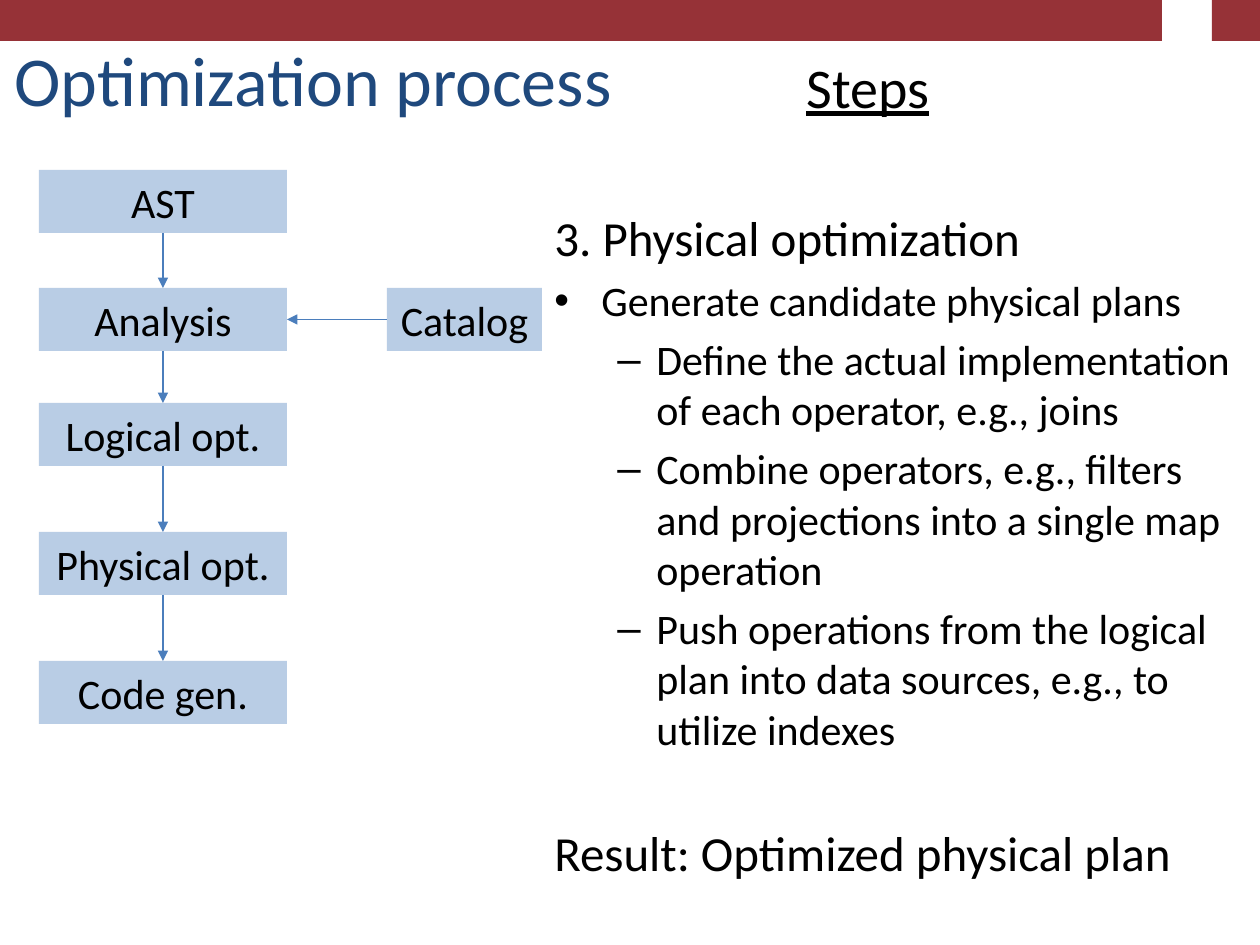
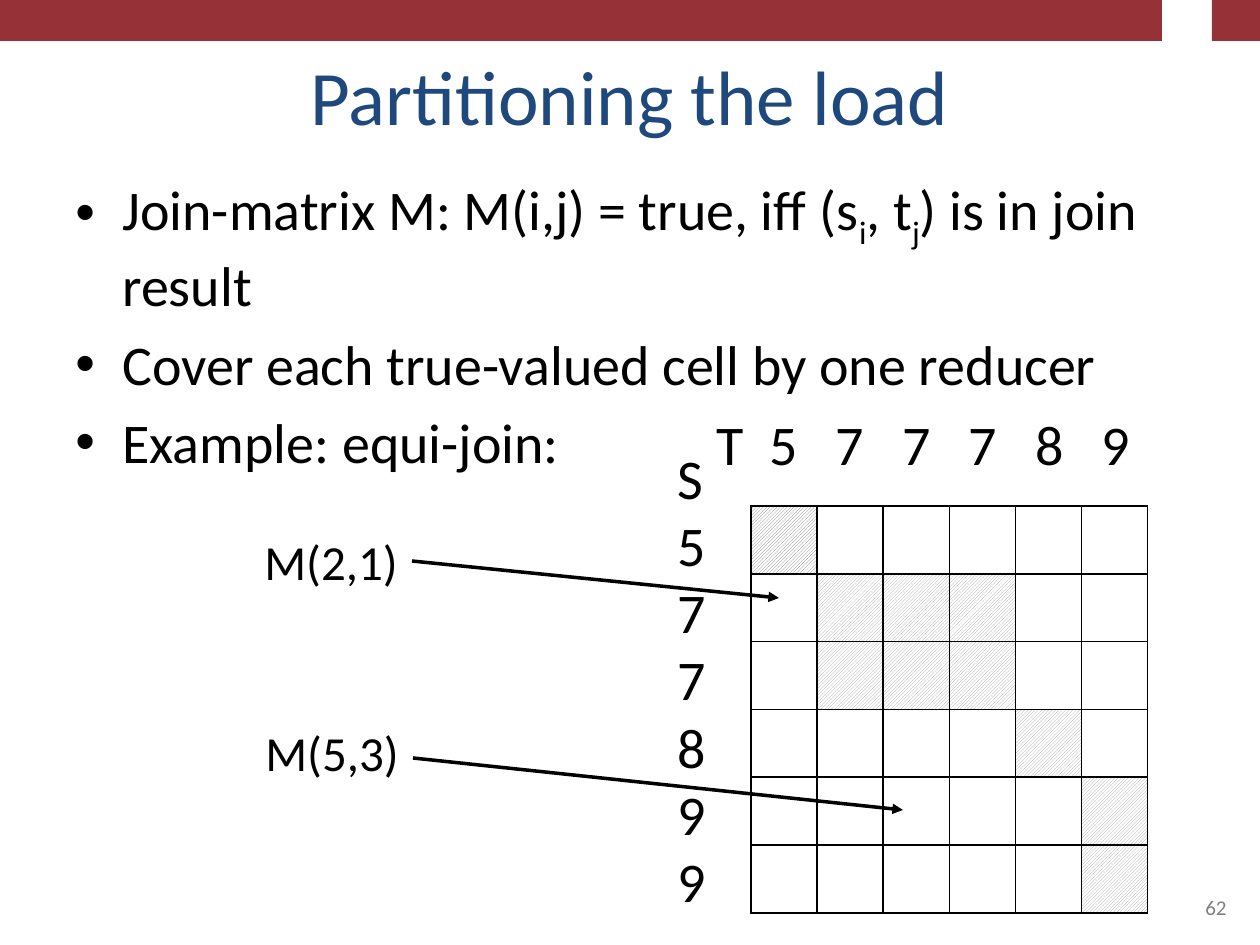
from lxml import etree
from pptx import Presentation
from pptx.dml.color import RGBColor
from pptx.enum.dml import MSO_PATTERN
from pptx.enum.shapes import MSO_CONNECTOR, MSO_SHAPE
from pptx.enum.text import MSO_ANCHOR, MSO_AUTO_SIZE, PP_ALIGN
from pptx.oxml.ns import qn
from pptx.util import Pt

PX_PER_INCH = 126
EMU_PER_INCH = 914400
WIDTH, HEIGHT = 1260, 945
FONT = "Calibri"
BULLET_FONT = "Arial"

BLACK = RGBColor(0x00, 0x00, 0x00)
WHITE = RGBColor(0xFF, 0xFF, 0xFF)
BAND_RED = RGBColor(0x96, 0x32, 0x37)
TITLE_BLUE = RGBColor(0x1F, 0x49, 0x7D)
BOX_BLUE = RGBColor(0xB9, 0xCD, 0xE5)
ARROW_BLUE = RGBColor(0x4B, 0x7E, 0xBC)
NUMBER_GREY = RGBColor(0x80, 0x80, 0x80)
HATCH_GREY = RGBColor(0xA6, 0xA6, 0xA6)

LEFT, CENTER, RIGHT = PP_ALIGN.LEFT, PP_ALIGN.CENTER, PP_ALIGN.RIGHT
TOP, MIDDLE, BOTTOM = MSO_ANCHOR.TOP, MSO_ANCHOR.MIDDLE, MSO_ANCHOR.BOTTOM
NO_AUTOFIT = MSO_AUTO_SIZE.NONE
RECTANGLE = MSO_SHAPE.RECTANGLE
STRAIGHT = MSO_CONNECTOR.STRAIGHT
HATCH = MSO_PATTERN.DARK_UPWARD_DIAGONAL
SITE_TOP, SITE_LEFT, SITE_BOTTOM, SITE_RIGHT = range(4)

BAND_PARTS = [(0, 677), (454, 1140), (1115, 1162), (1212, WIDTH)]
STEPS = ["AST", "Analysis", "Logical opt.", "Physical opt.", "Code gen."]
STEP_TOPS = [170, 288, 403, 532, 661]
PLAN_DETAILS = [
    "Define the actual implementation of each operator, e.g., joins",
    "Combine operators, e.g., filters and projections into a single map operation",
    "Push operations from the logical plan into data sources, e.g., to utilize indexes",
]
JOIN_POINTS = [
    ("Join-matrix M: M(i,j) = true, iff (s", "i", ", t", "j", ") is in join result"),
    "Cover each true-valued cell by one reducer",
    "Example: equi-join:",
]
S_VALUES = [5, 7, 7, 8, 9, 9]
T_VALUES = [5, 7, 7, 7, 8, 9]
JOIN_CELLS = {(0, 0), (1, 1), (1, 2), (1, 3), (2, 1), (2, 2), (2, 3),
              (3, 4), (4, 5), (5, 5)}


def px(value):
    return round(value * EMU_PER_INCH / PX_PER_INCH)


def write(tf, text, size=24, color=BLACK, align=LEFT, before=0, left=0, hang=0,
          level=0, bullet=None, underline=False, odd=("baseline", -25000)):
    p = tf.paragraphs[0]
    if p.runs:
        p = tf.add_paragraph()
    p.level = level
    pPr = p._p.get_or_add_pPr()
    pPr.set("marL", str(px(left)))
    pPr.set("indent", str(-px(hang)))
    if bullet:
        etree.SubElement(pPr, qn("a:buFont"), typeface=BULLET_FONT)
        etree.SubElement(pPr, qn("a:buChar"), char=bullet)
    else:
        etree.SubElement(pPr, qn("a:buNone"))
    p.alignment = align
    p.space_before = Pt(before)
    parts = (text,) if isinstance(text, str) else text
    for i, part in enumerate(parts):
        r = p.add_run()
        r.text = part
        r.font.name = FONT
        r.font.size = Pt(size)
        r.font.color.rgb = color
        r.font.underline = underline
        if i % 2:
            name, value = odd
            r.font._element.set(name, str(value))
    return p


def text_box(slide, x, y, w, h, wrap=True, anchor=TOP):
    sp = slide.shapes.add_textbox(px(x), px(y), px(w), px(h))
    tf = sp.text_frame
    tf.word_wrap = wrap
    tf.auto_size = NO_AUTOFIT
    tf.vertical_anchor = anchor
    return sp


def rectangle(slide, x, y, w, h, fill):
    sp = slide.shapes.add_shape(RECTANGLE, px(x), px(y), px(w), px(h))
    sp.shadow.inherit = False
    sp.fill.solid()
    sp.fill.fore_color.rgb = fill
    sp.line.fill.background()
    return sp


def step_box(slide, text, x, y, w):
    sp = rectangle(slide, x, y, w, 63, BOX_BLUE)
    sp.text_frame.word_wrap = True
    sp.text_frame.vertical_anchor = MIDDLE
    write(sp.text_frame, text, align=CENTER)
    return sp


def arrow(slide, color, weight, x1=0, y1=0, x2=0, y2=0):
    c = slide.shapes.add_connector(STRAIGHT, px(x1), px(y1), px(x2), px(y2))
    c.line.color.rgb = color
    c.line.width = Pt(weight)
    etree.SubElement(c.line._get_or_add_ln(), qn("a:tailEnd"), type="triangle")
    etree.SubElement(c._element.spPr, qn("a:effectLst"))
    return c


def link(slide, source, source_site, target, target_site):
    c = arrow(slide, ARROW_BLUE, 0.75)
    c.begin_connect(source, source_site)
    c.end_connect(target, target_site)


def add_slide(prs, title, x, y, w, size):
    slide = prs.slides.add_slide(prs.slide_layouts[5])
    for start, end in BAND_PARTS:
        rectangle(slide, start, 0, end - start, 41, BAND_RED)
    sp = slide.shapes.title
    sp.left, sp.top, sp.width, sp.height = px(x), px(y), px(w), px(109)
    tf = sp.text_frame
    tf.word_wrap = True
    tf.auto_size = NO_AUTOFIT
    tf.vertical_anchor = BOTTOM
    write(tf, title, size=size, color=TITLE_BLUE, align=CENTER)
    return slide


def set_borders(cell):
    tcPr = cell._tc.get_or_add_tcPr()
    for i, side in enumerate(("lnL", "lnR", "lnT", "lnB")):
        ln = etree.Element(qn(f"a:{side}"), w=str(Pt(1)))
        fill = etree.SubElement(ln, qn("a:solidFill"))
        etree.SubElement(fill, qn("a:srgbClr"), val=str(BLACK))
        tcPr.insert(i, ln)


def join_matrix(slide, x, y, w, h):
    table = slide.shapes.add_table(len(S_VALUES), len(T_VALUES),
                                   px(x), px(y), px(w), px(h)).table
    table.first_row = table.horz_banding = False
    for i, row in enumerate(table.rows):
        for j, cell in enumerate(row.cells):
            if (i, j) in JOIN_CELLS:
                cell.fill.patterned()
                cell.fill.pattern = HATCH
                cell.fill.fore_color.rgb = NUMBER_GREY if i == 0 else HATCH_GREY
                cell.fill.back_color.rgb = WHITE
            else:
                cell.fill.background()
            set_borders(cell)


def column_labels(slide, x, y, w, h):
    parts = ["T"]
    for value in T_VALUES:
        parts += [" ", str(value)]
    p = write(text_box(slide, x, y, w, h).text_frame, parts, size=32,
              odd=("spc", 1450))
    p.runs[1].font._element.set("spc", "725")


def cell_label(slide, text, x, y):
    sp = text_box(slide, x, y, 160, 72, wrap=False)
    write(sp.text_frame, text, size=28)
    return sp


def optimization_slide(prs):
    slide = add_slide(prs, "Optimization process", -3, 18, 632, 40)
    tf = text_box(slide, 542, 46, 718, 829).text_frame
    write(tf, "Steps", size=32, left=252, underline=True)
    write(tf, "3. Physical optimization", size=28, before=50.4)
    write(tf, "Generate candidate physical plans", before=4.8,
          left=47, hang=47, bullet="•")
    for detail in PLAN_DETAILS:
        write(tf, detail, before=4.8, left=102, hang=39, level=1, bullet="–")
    write(tf, "Result: Optimized physical plan", size=28, before=39.2)

    boxes = [step_box(slide, step, 39, y, 248) for step, y in zip(STEPS, STEP_TOPS)]
    for upper, lower in zip(boxes, boxes[1:]):
        link(slide, upper, SITE_BOTTOM, lower, SITE_TOP)
    catalog = step_box(slide, "Catalog", 387, STEP_TOPS[1], 155)
    link(slide, catalog, SITE_LEFT, boxes[1], SITE_RIGHT)


def partitioning_slide(prs):
    slide = add_slide(prs, "Partitioning the load", 63, 38, 1134, 44)
    tf = text_box(slide, 63, 168, 1134, 677).text_frame
    for i, point in enumerate(JOIN_POINTS):
        write(tf, point, size=32, before=6.4 if i else 0,
              left=47, hang=47, bullet="•")
    number = text_box(slide, 903, 861, 336, 65, anchor=BOTTOM)
    write(number.text_frame, "62", size=12, color=NUMBER_GREY, align=RIGHT)

    join_matrix(slide, 751, 506, 397, 407)
    s_labels = text_box(slide, 665, 437, 54, 488, wrap=False)
    for label in ["S", *S_VALUES]:
        write(s_labels.text_frame, str(label), size=32)
    column_labels(slide, 704, 403, 491, 81)

    label = cell_label(slide, "M(2,1)", 252, 525)
    arrow(slide, BLACK, 2, x2=779, y2=598).begin_connect(label, SITE_RIGHT)
    cell_label(slide, "M(5,3)", 253, 716)
    arrow(slide, BLACK, 2, 413, 758, 903, 810)


def main():
    prs = Presentation()
    prs.slide_width, prs.slide_height = px(WIDTH), px(HEIGHT)
    optimization_slide(prs)
    partitioning_slide(prs)
    prs.save("out.pptx")


if __name__ == "__main__":
    main()
